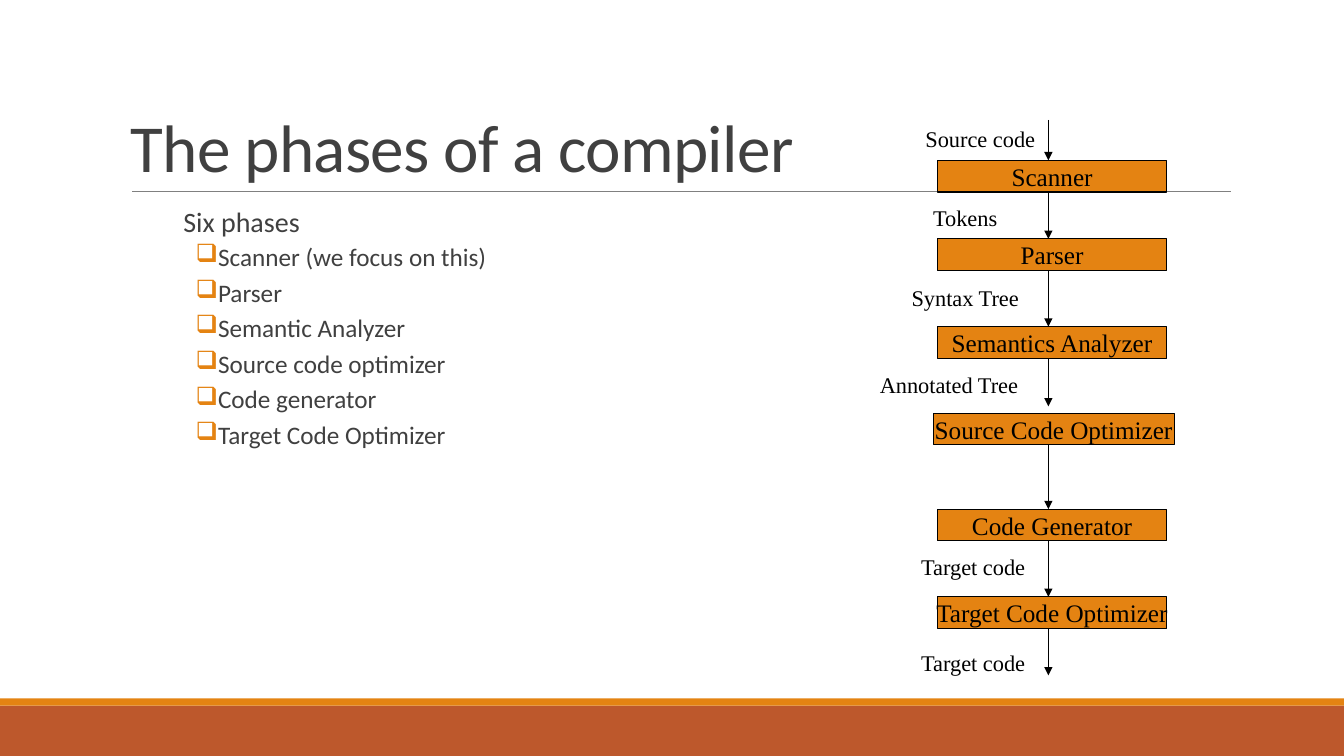
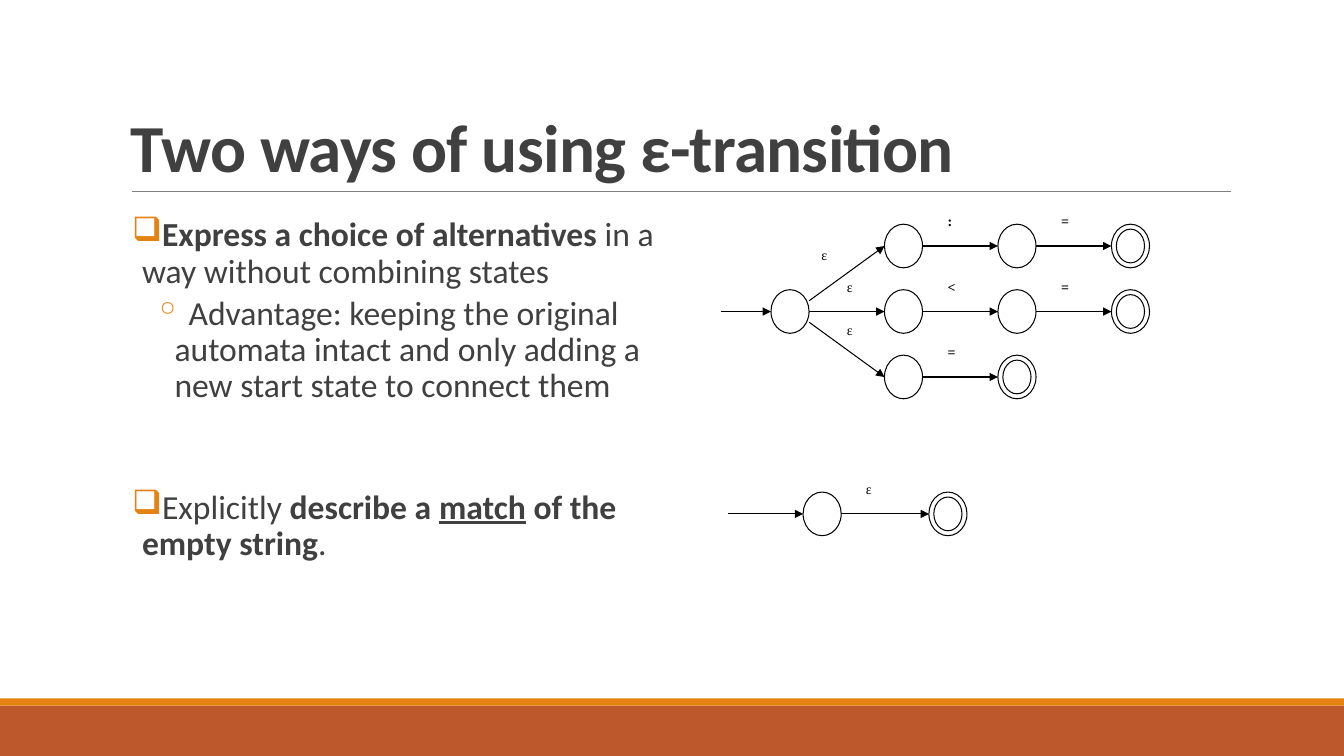
from lxml.etree import SubElement
from pptx import Presentation
from pptx.dml.color import RGBColor
from pptx.enum.shapes import MSO_CONNECTOR, MSO_SHAPE
from pptx.enum.text import MSO_ANCHOR, PP_ALIGN
from pptx.oxml.ns import qn
from pptx.util import Cm, Pt

HUES = {
    "ink": "404040",
    "black": "000000",
    "white": "FFFFFF",
    "gray": "808080",
    "amber": "E48312",
    "rust": "BD582C",
}
TINT = {name: RGBColor.from_string(code) for name, code in HUES.items()}

TITLE = {"name": "Calibri", "size": Pt(48)}
BOX = {"name": "Times New Roman", "size": Pt(18)}
LABEL = {"name": "Times New Roman", "size": Pt(16)}
MARK = {"name": "Times New Roman", "size": Pt(10)}
BOLD = {"bold": True}
FLUSH = {"margin_left": 0, "margin_right": 0, "margin_top": 0, "margin_bottom": 0}
BODY = FLUSH | {"margin_top": Cm(0.13), "margin_bottom": Cm(0.13)}
TOP = {"line_spacing": 0.9, "space_after": Pt(2)}
SUB = {"line_spacing": 0.9, "space_before": Pt(2), "space_after": Pt(4)}
MID = {"alignment": PP_ALIGN.CENTER}
LEFT = {"alignment": PP_ALIGN.LEFT}


def put(page, kind, spot, fill=None, edge=None, rows=(), frame={}, look={}, tint="black"):
    place = [Cm(n) for n in spot]
    if kind is None:
        shape = page.shapes.add_textbox(*place)
    else:
        shape = page.shapes.add_shape(kind, *place)
        shape.shadow.inherit = False
        shape.fill.solid()
        shape.fill.fore_color.rgb = TINT[fill]
        if edge:
            shape.line.color.rgb = TINT[edge]
            shape.line.width = Pt(0.75)
        else:
            shape.line.fill.background()
    text = shape.text_frame
    for key, val in ({"word_wrap": True} | frame).items():
        setattr(text, key, val)
    for i, (sign, left, hang, form, runs) in enumerate(rows):
        para = text.add_paragraph() if i else text.paragraphs[0]
        props = para._p.get_or_add_pPr()
        props.set("marL", str(Cm(left)))
        props.set("indent", str(-Cm(hang)))
        if sign:
            hue = SubElement(props, qn("a:buClr"))
            SubElement(hue, qn("a:srgbClr")).set("val", HUES["amber"])
            SubElement(props, qn("a:buChar")).set("char", sign)
        for key, val in form.items():
            setattr(para, key, val)
        for words, extra in runs:
            run = para.add_run()
            run.text = words
            run.font.color.rgb = TINT[tint]
            for key, val in (look | extra).items():
                setattr(run.font, key, val)
    return shape


def link(page, x1, y1, x2, y2, hue="black", width=0.75, tip=True):
    line = page.shapes.add_connector(MSO_CONNECTOR.STRAIGHT, Cm(x1), Cm(y1), Cm(x2), Cm(y2))
    line.line.color.rgb = TINT[hue]
    line.line.width = Pt(width)
    if tip:
        SubElement(line.line._ln, qn("a:tailEnd")).set("type", "triangle")
    SubElement(line._element.spPr, qn("a:effectLst"))


items = ["Scanner (we focus on this)", "Parser", "Semantic Analyzer",
         "Source code optimizer", "Code generator", "Target Code Optimizer"]
phases = [("", 0.25, 0, TOP, [("Six phases", {"size": Pt(20)})])]
phases += [("❑", 1.07, 0.51, SUB, [(item, {"size": Pt(18)})]) for item in items]

ways = [
    ("❑", 0.25, 0.25, TOP, [("Express a choice of alternatives", BOLD),
                            (" in a way without combining states", {})]),
    ("◦", 1.07, 0.51, SUB, [(" Advantage: keeping the original automata intact and "
                             "only adding a new start state to connect them", {})]),
    ("❑", 0.25, 0.25, TOP | {"space_before": Pt(57)},
     [("Explicitly ", {}), ("describe a ", BOLD), ("match", BOLD | {"underline": True}),
      (" of the empty string", BOLD), (".", {})]),
]

deck = Presentation()
deck.slide_width, deck.slide_height = Cm(33.87), Cm(19.05)
pages = []
for head, style, spot, rows in [
    ("The phases of a compiler", {}, (4.37, 5.13, 26.62, 11.18), phases),
    ("Two ways of using ε-transition", BOLD, (3.33, 5.36, 13.21, 11.28), ways),
]:
    page = deck.slides.add_slide(deck.slide_layouts[6])
    pages.append(page)
    put(page, MSO_SHAPE.RECTANGLE, (0, 17.78, 33.87, 1.27), "rust")
    put(page, MSO_SHAPE.RECTANGLE, (0, 17.6, 33.87, 0.18), "amber")
    link(page, 3.33, 4.83, 31.01, 4.83, "gray", 0.5, False)
    title = put(page, None, (3.05, 0.79, 27.94, 4.04),
                rows=[("", 0, 0, {"line_spacing": 0.85}, [(head, style)])],
                frame={"vertical_anchor": MSO_ANCHOR.BOTTOM}, look=TITLE, tint="ink")
    title.text_frame.paragraphs[0].runs[0].font._element.set("spc", "-50")
    put(page, None, spot, rows=rows, frame=BODY,
        look={"name": "Calibri", "size": Pt(24)}, tint="ink")

flow, graph = pages

stem, tall, start = 26.42, 0.8, 3.02
steps = [
    ("Source code", 22.61, 3.02, 4.04, "Scanner", 4.04, 23.62, 5.79),
    ("Tokens", 22.23, 5.03, 6.02, "Parser", 6.02, 23.62, 5.79),
    ("Syntax Tree", 22.23, 7.04, 8.23, "Semantics Analyzer", 8.23, 23.62, 5.79),
    ("Annotated Tree", 21.82, 9.22, 10.24, "Source Code Optimizer", 10.41, 23.52, 6.07),
    ("", 0, 0, 12.83, "Code Generator", 12.83, 23.62, 5.79),
    ("Target code", 22.43, 13.82, 15.04, "Target Code Optimizer", 15.04, 23.62, 5.79),
    ("Target code", 22.43, 16.23, 17.02, "", 0, 0, 0),
]
for label, x, y, end, name, top, left, wide in steps:
    link(flow, stem, start, stem, end)
    if label:
        put(flow, None, (x, y, 4.19, 0.94), rows=[("", 0, 0, MID, [(label, {})])], look=LABEL)
    if name:
        put(flow, MSO_SHAPE.RECTANGLE, (left, top, wide, tall), "amber", "black",
            [("", 0, 0, MID, [(name, {})])],
            {"word_wrap": False, "vertical_anchor": MSO_ANCHOR.MIDDLE}, BOX)
    start = top + tall

wide, tall = 0.96, 1.1
first, step = 19.43, 2.86
axis, gap = 7.85, 1.65
nodes = [(first, axis, False), (20.24, 12.95, False), (23.41, 12.95, True)]
links = [(18.16, axis, first, axis), (18.34, 12.95, 20.24, 12.95), (21.2, 12.95, 23.41, 12.95)]
marks = [("ε", 20.7, 6.2, {}), ("ε", 21.34, 7.01, {}), ("ε", 21.34, 8.1, {}),
         ("ε", 21.82, 12.11, {})]
for row, signs in enumerate([":=", "<=", "="], -1):
    y = axis + row * gap
    links.append((first + wide, axis + row * 0.27, first + step, y))
    for col, sign in enumerate(signs, 1):
        x = first + col * step
        nodes.append((x, y, False))
        links.append((x + wide, y, x + step, y))
        marks.append((sign, x + 1.59, y - 0.84, BOLD))
    nodes.append((x + step, y, True))

for ends in links:
    link(graph, *ends)
for x, y, final in nodes:
    kind = MSO_SHAPE.DONUT if final else MSO_SHAPE.OVAL
    node = put(graph, kind, (x, y - tall / 2, wide, tall), "white", "black")
    if final:
        node.adjustments[0] = 0.13
for sign, x, y, style in marks:
    put(graph, MSO_SHAPE.RECTANGLE, (x, y, 0.64, 0.56), "white", "white",
        [("", 0, 0, LEFT, [(sign, style)])],
        FLUSH | {"vertical_anchor": MSO_ANCHOR.TOP}, MARK)

deck.save("out.pptx")
